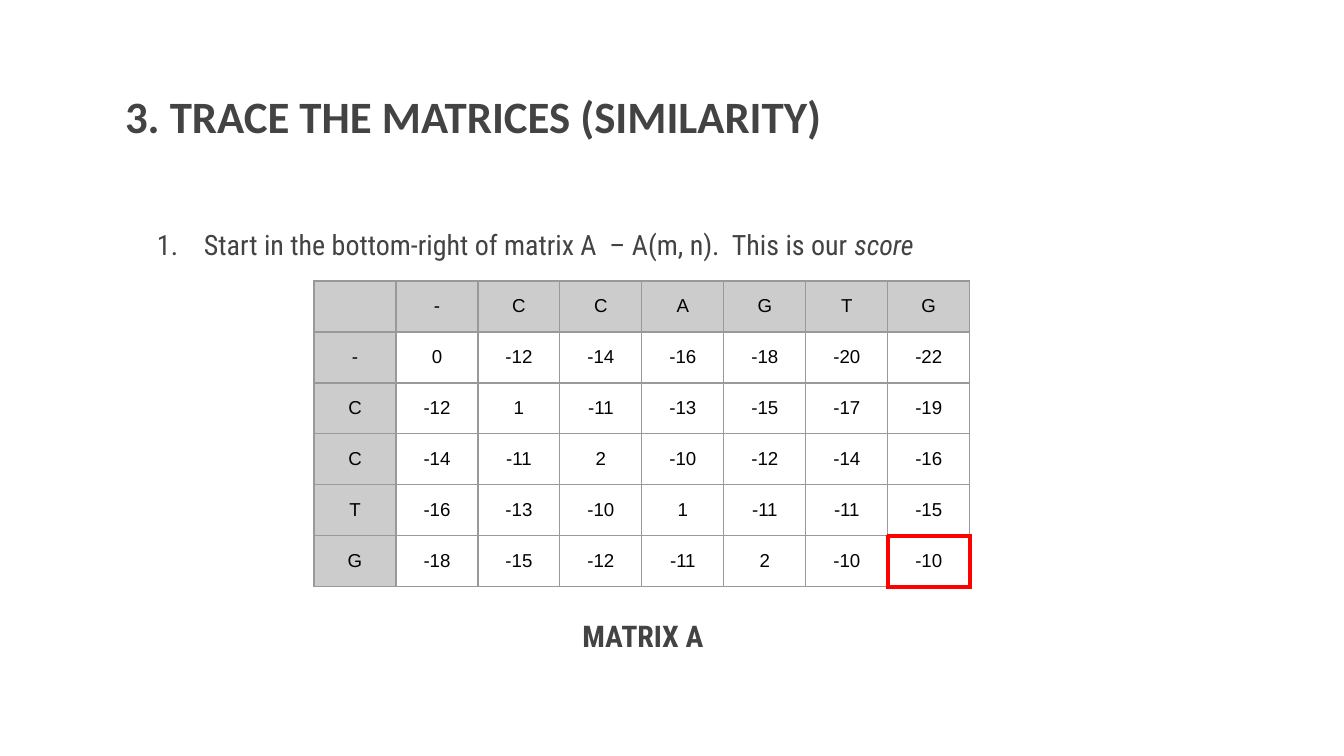
from lxml.etree import SubElement
from pptx import Presentation
from pptx.dml.color import RGBColor
from pptx.enum.text import MSO_ANCHOR as Anchor, MSO_AUTO_SIZE as AutoSize, PP_ALIGN as Align
from pptx.oxml.ns import qn
from pptx.util import Emu, Pt

EMU_PER_PX = 914400 / 134.4
INK, GRID, HEADER, RED = "434343", "999999", "CCCCCC", "FF0000"
THIN, THICK = (GRID, 0.75), (RED, 2.25)
SIDES = ("L", "R", "T", "B")

SEQUENCE_ACROSS = "-CCAGTG"
SEQUENCE_DOWN = "-CCTG"
SCORES = [
    [0, -12, -14, -16, -18, -20, -22],
    [-12, 1, -11, -13, -15, -17, -19],
    [-14, -11, 2, -10, -12, -14, -16],
    [-16, -13, -10, 1, -11, -11, -15],
    [-18, -15, -12, -11, 2, -10, -10],
]


def px(length):
    return Emu(round(length * EMU_PER_PX))


def rgb(hex_color):
    return RGBColor.from_string(hex_color)


class MatrixSlide:
    margin = 13
    title_font = dict(name="Calibri", size=Pt(24), bold=True)
    step_font = dict(name="Roboto Condensed", size=Pt(15))
    caption_font = dict(name="Roboto Condensed", size=Pt(16), bold=True)
    cell_font = dict(name="Arial", size=Pt(10))

    def __init__(self, deck):
        self.slide = deck.slides.add_slide(deck.slide_layouts[5])

    def set_margins(self, target):
        for side in ("left", "right", "top", "bottom"):
            setattr(target, f"margin_{side}", px(self.margin))

    def add_text(self, paragraph, text, style, color=INK, **extra):
        run = paragraph.add_run()
        run.text = text
        for key, value in {**style, **extra}.items():
            setattr(run.font, key, value)
        run.font.color.rgb = rgb(color)

    def prepare(self, frame, anchor):
        frame.word_wrap = True
        frame.auto_size = AutoSize.NONE
        frame.vertical_anchor = anchor
        self.set_margins(frame)
        return frame.paragraphs[0]

    def title(self, text, left, top, width, height):
        heading = self.slide.shapes.title
        box = dict(left=left, top=top, width=width, height=height)
        for key, value in box.items():
            setattr(heading, key, px(value))
        paragraph = self.prepare(heading.text_frame, Anchor.MIDDLE)
        paragraph.alignment = Align.LEFT
        self.add_text(paragraph, text, self.title_font)

    def text_box(self, *box):
        frame = self.slide.shapes.add_textbox(*map(px, box)).text_frame
        return self.prepare(frame, Anchor.TOP)

    def number(self, paragraph, indent, hanging):
        properties = paragraph._p.get_or_add_pPr()
        properties.set("marL", str(px(indent)))
        properties.set("indent", str(-px(hanging)))
        bullet_color = SubElement(properties, qn("a:buClr"))
        SubElement(bullet_color, qn("a:srgbClr"), val=INK)
        SubElement(properties, qn("a:buAutoNum"), type="arabicPeriod")

    def borders(self, cell, red_sides):
        properties = cell._tc.get_or_add_tcPr()
        for side in SIDES:
            color, points = THICK if side in red_sides else THIN
            line = SubElement(properties, qn(f"a:ln{side}"), w=str(Pt(points)))
            fill = SubElement(line, qn("a:solidFill"))
            SubElement(fill, qn("a:srgbClr"), val=color)

    def table(self, rows, left, top, column_width, row_height, red_sides):
        column_count, row_count = len(rows[0]), len(rows)
        size = (column_width * column_count, row_height * row_count)
        table = self.slide.shapes.add_table(
            row_count, column_count, *map(px, (left, top, *size))).table
        table.first_row = table.horz_banding = False
        for r, values in enumerate(rows):
            for c, value in enumerate(values):
                cell = table.cell(r, c)
                self.borders(cell, red_sides.get((r, c), ""))
                if r == 0 or c == 0:
                    cell.fill.solid()
                    cell.fill.fore_color.rgb = rgb(HEADER)
                else:
                    cell.fill.background()
                self.set_margins(cell)
                cell.vertical_anchor = Anchor.MIDDLE
                paragraph = cell.text_frame.paragraphs[0]
                paragraph.alignment = Align.CENTER
                if value == "":
                    # Keeps the empty corner from stretching its row
                    SubElement(paragraph._p, qn("a:endParaRPr"), sz="1000")
                else:
                    self.add_text(paragraph, str(value), self.cell_font, "000000")


def main():
    deck = Presentation()
    deck.slide_width, deck.slide_height = px(1344), px(756)
    page = MatrixSlide(deck)

    # Heading
    page.title("3. TRACE THE MATRICES (SIMILARITY)", 112, 73, 1063, 85)

    # Numbered step
    step = page.text_box(124, 198, 969, 76)
    page.number(step, 67, 47)
    step.line_spacing = 1.5
    page.add_text(step, "Start in the bottom-right of matrix A  – A(m, n).  This is our ",
                  page.step_font)
    page.add_text(step, "score", page.step_font, italic=True)

    # Similarity matrix, with the final score outlined from both sides
    rows = [["", *SEQUENCE_ACROSS]]
    rows += [[base, *scores] for base, scores in zip(SEQUENCE_DOWN, SCORES)]
    last_row, last_column = len(rows) - 1, len(rows[0]) - 1
    score_outline = {
        (last_row, last_column): "LRTB",
        (last_row - 1, last_column): "B",
        (last_row, last_column - 1): "R",
    }
    page.table(rows, 314, 281, 82, 51, score_outline)

    # Caption
    caption = page.text_box(499, 599, 288, 94)
    caption.alignment = Align.CENTER
    caption.line_spacing = 1.15
    caption.space_after = Pt(10)
    page.add_text(caption, "MATRIX A", page.caption_font)

    deck.save("out.pptx")


if __name__ == "__main__":
    main()
